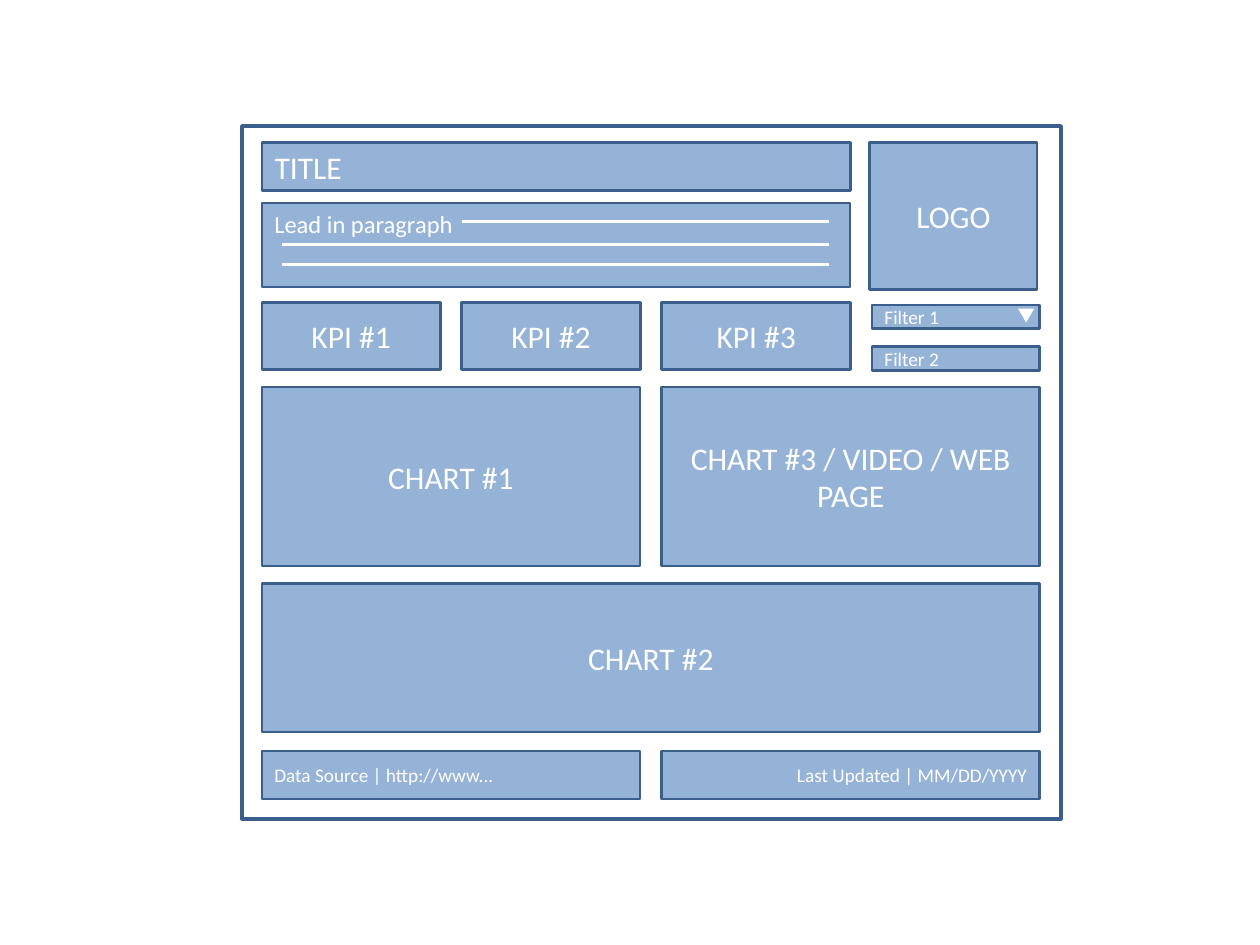
from lxml.etree import SubElement
from pptx import Presentation
from pptx.dml.color import RGBColor
from pptx.enum.shapes import MSO_CONNECTOR, MSO_SHAPE
from pptx.enum.text import MSO_ANCHOR, MSO_AUTO_SIZE, PP_ALIGN
from pptx.oxml.ns import qn
from pptx.util import Cm, Pt

PANEL = RGBColor(0x95, 0xB3, 0xD7)
BORDER = RGBColor(0x3A, 0x5F, 0x8C)
WHITE = RGBColor(0xFF, 0xFF, 0xFF)
LEFT, CENTER, RIGHT = PP_ALIGN.LEFT, PP_ALIGN.CENTER, PP_ALIGN.RIGHT
TOP, MIDDLE = MSO_ANCHOR.TOP, MSO_ANCHOR.MIDDLE

FRAME = (4.88, 2.54, 16.51, 13.97)
COL, HALF, GAP = 5.28, 7.62, 0.44
RIGHT_COL = COL + HALF + GAP
FULL = 2 * HALF + GAP
HEADER = 11.86
SIDE, SIDE_WIDTH = 17.58, 3.38
KPI_STEP = (HALF + GAP) / 2
KPI_WIDTHS = (3.6, 3.6, 3.81)
FILTER_TOP, FILTER_STEP = 6.15, 0.84

TITLE = ("TITLE", (COL, 2.87, HEADER, 0.97), 18, LEFT, MIDDLE)
PANELS = [
    ("Lead in paragraph", (COL, 4.09, HEADER, 1.7), 14, LEFT, TOP),
    ("CHART #1", (COL, 7.8, HALF, 3.61), 18, CENTER, MIDDLE),
    ("CHART #3 / VIDEO / WEB PAGE", (RIGHT_COL, 7.8, HALF, 3.61), 18, CENTER, MIDDLE),
    ("LOGO", (17.53, 2.87, SIDE_WIDTH, 2.97), 18, CENTER, MIDDLE),
    ("CHART #2", (COL, 11.76, FULL, 3), 18, CENTER, MIDDLE),
    ("Data Source | http://www...", (COL, 15.14, HALF, 0.97), 11, LEFT, MIDDLE),
    ("Last Updated | MM/DD/YYYY", (RIGHT_COL, 15.14, HALF, 0.97), 11, RIGHT, MIDDLE),
]
PANELS += [
    (f"Filter {i + 1}", (SIDE, FILTER_TOP + i * FILTER_STEP, SIDE_WIDTH, 0.48), 11, LEFT, MIDDLE)
    for i in range(2)
]
PANELS += [
    (f"KPI #{i + 1}", (COL + i * KPI_STEP, 6.1, width, 1.35), 18, CENTER, MIDDLE)
    for i, width in enumerate(KPI_WIDTHS)
]
TEXT_LINES = [(9.32, 4.47), (5.69, 4.93), (5.69, 5.33)]
TEXT_LINE_END = 16.71
DROPDOWN = (20.52, 6.22, 0.33, 0.28)


def add_plain(slide, kind, box):
    shape = slide.shapes.add_shape(kind, *map(Cm, box))
    shape.shadow.inherit = False
    return shape


def outline(shape, width):
    shape.line.color.rgb = BORDER
    shape.line.width = Pt(width)


def format_panel(panel, label, size, align, anchor):
    panel.fill.solid()
    panel.fill.fore_color.rgb = PANEL
    outline(panel, 1.5)
    frame = panel.text_frame
    frame.text = label
    frame.word_wrap = True
    frame.auto_size = MSO_AUTO_SIZE.NONE
    frame.vertical_anchor = anchor
    paragraph = frame.paragraphs[0]
    paragraph.alignment = align
    font = paragraph.runs[0].font
    font.name, font.size, font.color.rgb = "Calibri", Pt(size), WHITE


def add_text_line(slide, start, y):
    line = slide.shapes.add_connector(
        MSO_CONNECTOR.STRAIGHT, Cm(start), Cm(y), Cm(TEXT_LINE_END), Cm(y))
    line.line.color.rgb = WHITE
    line.line.width = Pt(1.5)
    SubElement(line.line._get_or_add_ln().getparent(), qn("a:effectLst"))


def main():
    deck = Presentation()
    deck.slide_width, deck.slide_height = Cm(25.4), Cm(19.05)
    slide = deck.slides.add_slide(deck.slide_layouts[5])

    border = add_plain(slide, MSO_SHAPE.RECTANGLE, FRAME)
    border.fill.background()
    outline(border, 2)

    label, box, *style = TITLE
    title = slide.shapes.title
    title.left, title.top, title.width, title.height = map(Cm, box)
    format_panel(title, label, *style)

    for label, box, *style in PANELS:
        format_panel(add_plain(slide, MSO_SHAPE.RECTANGLE, box), label, *style)

    for start, y in TEXT_LINES:
        add_text_line(slide, start, y)

    dropdown = add_plain(slide, MSO_SHAPE.ISOSCELES_TRIANGLE, DROPDOWN)
    dropdown.rotation = 180
    dropdown.fill.solid()
    dropdown.fill.fore_color.rgb = WHITE
    dropdown.line.fill.background()

    deck.save("out.pptx")


if __name__ == "__main__":
    main()
